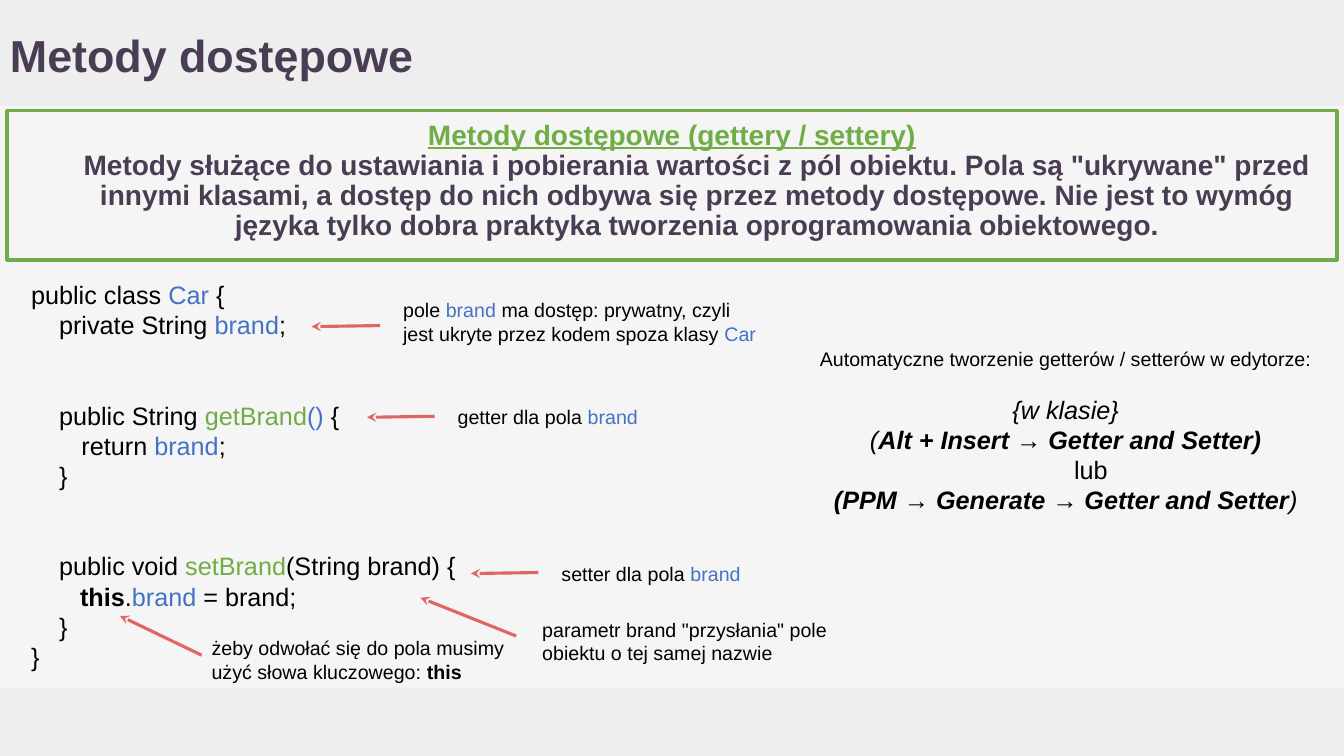
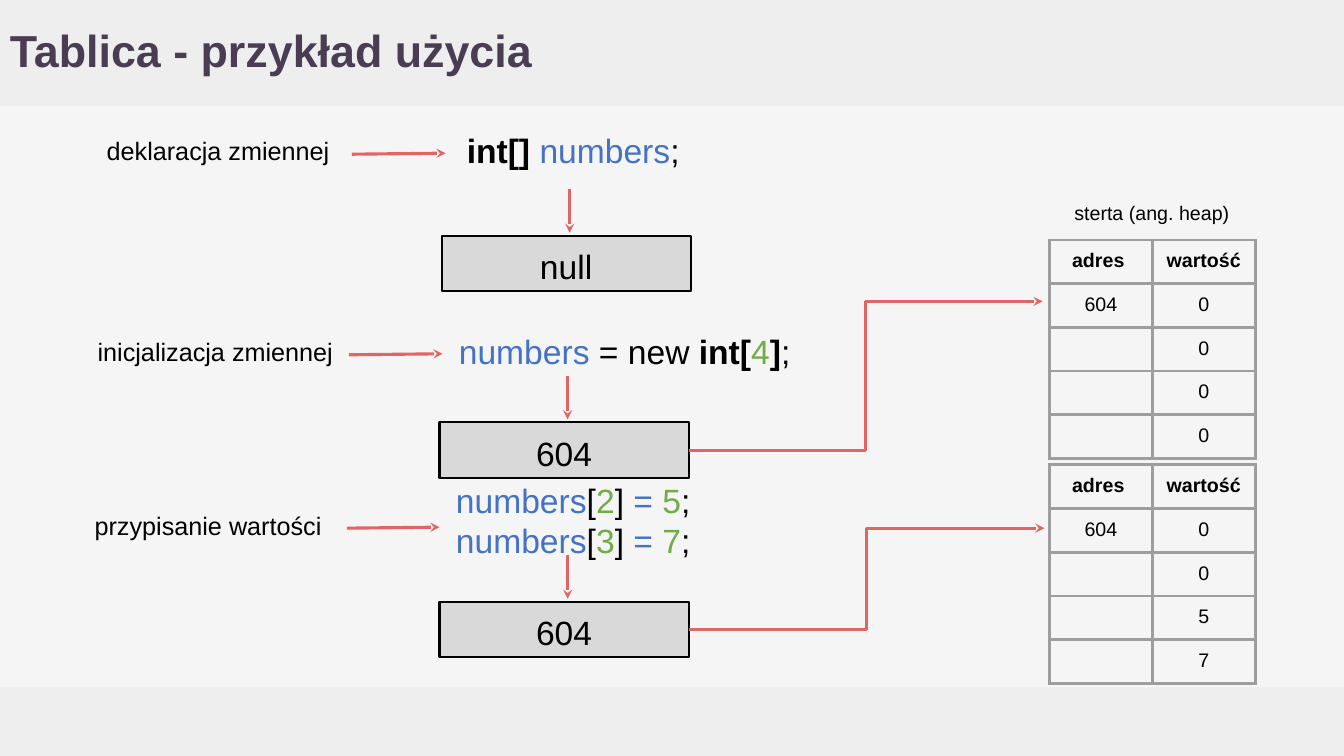
from dataclasses import dataclass
from functools import partial
from typing import NamedTuple

from lxml.etree import SubElement
from pptx import Presentation
from pptx.dml.color import RGBColor
from pptx.enum.shapes import MSO_CONNECTOR as Connector, MSO_SHAPE as Shape
from pptx.enum.text import MSO_ANCHOR as Anchor, PP_ALIGN as Align
from pptx.oxml.ns import qn
from pptx.util import Inches, Pt

COLORS = {
    "background": "F5F5F5", "band": "EEEEEE", "title": "4A3D53",
    "black": "000000", "blue": "4472C4", "green": "70AD47",
    "arrow": "E06666", "box": "D9D9D9", "grid": "9E9E9E",
}
FONT = "Arial"
SLIDE_WIDTH, SLIDE_HEIGHT = 13.33, 7.5
HEADER_HEIGHT, FOOTER_TOP = 1.05, 6.82
BOX_WIDTH, BOX_HEIGHT = 2.47, 0.55
COLUMN_WIDTH, ROW_HEIGHT = 1.02, 0.42
INSET = Inches(0.1)


class Box(NamedTuple):
    left: float
    top: float
    width: float
    height: float


class Span(NamedTuple):
    text: str
    color: str = "black"
    bold: bool = False
    italic: bool = False
    underline: bool = False


@dataclass
class Line:
    spans: list
    space_before: float = 0
    indent: float = 0


class Label(NamedTuple):
    box: Box
    spans: list
    size: int = 14


class Arrow(NamedTuple):
    start: tuple
    end: tuple


class Stage(NamedTuple):
    """A value box with the arrow that leads down to it."""
    left: float
    top: float
    value: str


class Heap(NamedTuple):
    top: float
    values: list
    stage: int
    arrow_end: tuple


blue = partial(Span, color="blue")
green = partial(Span, color="green")
bold = partial(Span, bold=True)
italic = partial(Span, italic=True)
bold_italic = partial(Span, bold=True, italic=True)


def rgb(name):
    return RGBColor.from_string(COLORS[name])


def lengths(values):
    return [Inches(value) for value in values]


def write(frame, lines, *, size=14, align=Align.LEFT, anchor=Anchor.TOP, spacing=None):
    """Fill a text frame with formatted lines."""
    frame.word_wrap = True
    frame.vertical_anchor = anchor
    frame.margin_left = frame.margin_right = INSET
    frame.margin_top = frame.margin_bottom = INSET
    for index, line in enumerate(lines):
        paragraph = frame.add_paragraph() if index else frame.paragraphs[0]
        paragraph.alignment = align
        if spacing:
            paragraph.line_spacing = spacing
        if line.space_before:
            paragraph.space_before = Pt(line.space_before)
        if line.indent:
            properties = paragraph._p.get_or_add_pPr()
            properties.set("marL", str(Inches(line.indent)))
            properties.set("indent", "0")
        for span in line.spans:
            run = paragraph.add_run()
            run.text = span.text
            font = run.font
            font.name, font.size = FONT, Pt(size)
            font.bold, font.italic, font.underline = span.bold, span.italic, span.underline
            font.color.rgb = rgb(span.color)


def add_text(slide, box: Box, lines, **text_format):
    write(slide.shapes.add_textbox(*lengths(box)).text_frame, lines, **text_format)


def add_rectangle(slide, box: Box, *, fill=None, line=None, line_width=1.5):
    shape = slide.shapes.add_shape(Shape.RECTANGLE, *lengths(box))
    shape.shadow.inherit = False
    if fill:
        shape.fill.solid()
        shape.fill.fore_color.rgb = rgb(fill)
    else:
        shape.fill.background()
    if line:
        shape.line.color.rgb = rgb(line)
        shape.line.width = Pt(line_width)
    else:
        shape.line.fill.background()
    return shape


def add_arrow(slide, arrow: Arrow, kind=Connector.STRAIGHT):
    connector = slide.shapes.add_connector(kind, *lengths(arrow.start + arrow.end))
    connector.line.color.rgb = rgb("arrow")
    connector.line.width = Pt(2.25)
    SubElement(connector.line._get_or_add_ln(), qn("a:tailEnd"), type="stealth")
    SubElement(connector._element.spPr, qn("a:effectLst"))
    return connector


def add_label(slide, label: Label):
    add_text(slide, label.box, [Line(label.spans)], size=label.size)


def add_stage(slide, stage: Stage):
    shape = add_rectangle(slide, Box(stage.left, stage.top, BOX_WIDTH, BOX_HEIGHT),
                          fill="box", line="black")
    write(shape.text_frame, [Line([Span(stage.value)])], size=24, align=Align.CENTER)
    x = stage.left + 1.27
    add_arrow(slide, Arrow((x, stage.top - 0.46), (x, stage.top - 0.03)))
    return shape


def set_borders(cell):
    properties = cell._tc.get_or_add_tcPr()
    for index, side in enumerate(("a:lnL", "a:lnR", "a:lnT", "a:lnB")):
        border = properties.makeelement(qn(side), {"w": str(Pt(2.25))})
        fill = SubElement(border, qn("a:solidFill"))
        SubElement(fill, qn("a:srgbClr"), val=COLORS["grid"])
        properties.insert(index, border)


def add_heap_table(slide, heap: Heap):
    rows = [("adres ", "wartość")]
    rows += [("" if index else "604", value) for index, value in enumerate(heap.values)]
    box = Box(10.41, heap.top, 2 * COLUMN_WIDTH, len(rows) * ROW_HEIGHT)
    table = slide.shapes.add_table(len(rows), 2, *lengths(box)).table
    table.first_row = table.horz_banding = False
    for row_index, row in enumerate(rows):
        for column_index, text in enumerate(row):
            cell = table.cell(row_index, column_index)
            cell.fill.background()
            set_borders(cell)
            margin = INSET if text else 0
            cell.margin_left = cell.margin_right = INSET
            cell.margin_top = cell.margin_bottom = margin
            if text:
                paragraph = cell.text_frame.paragraphs[0]
                paragraph.alignment = Align.CENTER
                run = paragraph.add_run()
                run.text = text
                run.font.name, run.font.size = FONT, Pt(14)
                run.font.bold = row_index == 0
                run.font.color.rgb = rgb("black")


def add_slide(presentation, title: str, title_top: float):
    """Add a slide with the shared background, bands and title."""
    slide = presentation.slides.add_slide(presentation.slide_layouts[6])
    slide.background.fill.solid()
    slide.background.fill.fore_color.rgb = rgb("background")
    footer_height = SLIDE_HEIGHT - FOOTER_TOP
    for top, height in ((FOOTER_TOP, footer_height), (0, HEADER_HEIGHT)):
        add_rectangle(slide, Box(0, top, SLIDE_WIDTH, height), fill="band")
    add_text(slide, Box(0, title_top, 11.92, HEADER_HEIGHT),
             [Line([bold(title, color="title")])],
             size=32, anchor=Anchor.MIDDLE, spacing=0.9)
    return slide


def build_accessors(presentation):
    slide = add_slide(presentation, "Metody dostępowe", 0.05)
    definition = add_rectangle(slide, Box(0.07, 1.1, 13.19, 1.48), line="green", line_width=2.25)
    write(definition.text_frame, [
        Line([bold("Metody dostępowe (gettery / settery)", color="green", underline=True)]),
        Line([bold("Metody służące do ustawiania i pobierania wartości z pól obiektu. "
                   "Pola są \"ukrywane\" przed innymi klasami, a dostęp do nich odbywa się "
                   "przez metody dostępowe. Nie jest to wymóg języka tylko dobra praktyka "
                   "tworzenia oprogramowania obiektowego.", color="title")], indent=0.5),
    ], size=20, align=Align.CENTER, spacing=0.9)

    method_gap = 43
    add_text(slide, Box(0.21, 2.67, 4.52, 4.33), [
        Line([Span("public class "), blue("Car "), Span("{")]),
        Line([Span("    private String "), blue("brand"), Span(";")]),
        Line([Span("    public String "), green("getBrand"), blue("()"), Span(" {")], method_gap),
        Line([Span("\treturn "), blue("brand"), Span(";")]),
        Line([Span("    }")]),
        Line([Span("    public void "), green("setBrand"), Span("(String brand) {")], method_gap),
        Line([Span("       "), bold("this"), Span("."), blue("brand"), Span(" = brand;")]),
        Line([Span("    }")]),
        Line([Span("}")]),
    ], size=18)

    for label in (
        Label(Box(3.9, 2.86, 3.78, 0.7), [
            Span("pole "), blue("brand "),
            Span("ma dostęp: prywatny, czyli jest ukryte przez kodem spoza klasy "), blue("Car")]),
        Label(Box(4.44, 3.92, 2.11, 0.48), [Span("getter dla pola "), blue("brand")]),
        Label(Box(5.47, 5.47, 2.11, 0.48), [Span("setter dla pola "), blue("brand")]),
        Label(Box(5.28, 6.03, 3.03, 0.66), [
            Span("parametr brand \"przysłania\" pole obiektu o tej samej nazwie")]),
        Label(Box(2, 6.21, 3.28, 0.48), [
            Span("żeby odwołać się do pola musimy użyć słowa kluczowego: "), bold("this")]),
    ):
        add_label(slide, label)
    for arrow in (
        Arrow((3.77, 3.23), (3.09, 3.24)),
        Arrow((4.31, 4.13), (3.64, 4.14)),
        Arrow((5.34, 5.68), (4.67, 5.69)),
        Arrow((5.12, 6.31), (4.17, 5.93)),
        Arrow((2, 6.5), (1.19, 6.11)),
    ):
        add_arrow(slide, arrow)

    add_text(slide, Box(8.01, 3.34, 5.12, 0.45),
             [Line([Span("Automatyczne tworzenie getterów / setterów w edytorze:")])],
             align=Align.CENTER)
    add_text(slide, Box(8.01, 3.81, 5.12, 1.86), [
        Line([italic("{w klasie}")]),
        Line([italic("("), bold_italic("Alt + Insert → Getter and Setter)")]),
        Line([Span("lub")], indent=0.5),
        Line([bold_italic("(PPM → Generate → Getter and Setter"), italic(")")]),
    ], size=18, align=Align.CENTER)


def build_array_example(presentation):
    slide = add_slide(presentation, "Tablica - przykład użycia", 0)
    for label in (
        Label(Box(0.96, 1.24, 2.47, 0.55), [Span("deklaracja zmiennej")], 18),
        Label(Box(0.87, 3.24, 2.54, 0.55), [Span("inicjalizacja zmiennej")], 18),
        Label(Box(0.84, 4.96, 2.54, 0.55), [Span("przypisanie wartości")], 18),
    ):
        add_label(slide, label)
    for arrow in (
        Arrow((3.49, 1.53), (4.42, 1.52)),
        Arrow((3.46, 3.52), (4.39, 3.51)),
        Arrow((3.44, 5.24), (4.36, 5.23)),
    ):
        add_arrow(slide, arrow)

    assignments = [
        Line([blue("numbers"), Span("["), green(index), Span("]"), blue(" = "),
              green(value), Span(";")])
        for index, value in (("2", "5"), ("3", "7"))
    ]
    for left, top, height, lines in (
        (3.48, 1.19, 0.55, [Line([bold("int[] "), blue("numbers"), Span(";")])]),
        (3.99, 3.18, 0.55, [Line([blue("numbers "), Span("= new "), bold("int["), green("4"),
                                  bold("]"), Span(";")])]),
        (3.48, 4.66, 0.77, assignments),
    ):
        add_text(slide, Box(left, top, 4.41, height), lines, size=24, align=Align.CENTER)

    stages = [add_stage(slide, stage) for stage in (
        Stage(4.38, 2.34, "null"), Stage(4.36, 4.19, "604"), Stage(4.36, 5.97, "604"))]

    add_text(slide, Box(10.37, 1.92, 2.11, 0.38), [Line([Span("sterta (ang. heap)")])],
             align=Align.CENTER, anchor=Anchor.MIDDLE)
    for heap in (Heap(2.38, ["0", "0", "0", "0"], 1, (10.34, 2.99)),
                 Heap(4.61, ["0", "0", "5", "7"], 2, (10.36, 5.24))):
        add_heap_table(slide, heap)
        link = add_arrow(slide, Arrow((6.83, 4.47), heap.arrow_end), Connector.ELBOW)
        link.begin_connect(stages[heap.stage], 3)


def main():
    presentation = Presentation()
    presentation.slide_width, presentation.slide_height = lengths((SLIDE_WIDTH, SLIDE_HEIGHT))
    build_accessors(presentation)
    build_array_example(presentation)
    presentation.save("out.pptx")


if __name__ == "__main__":
    main()
